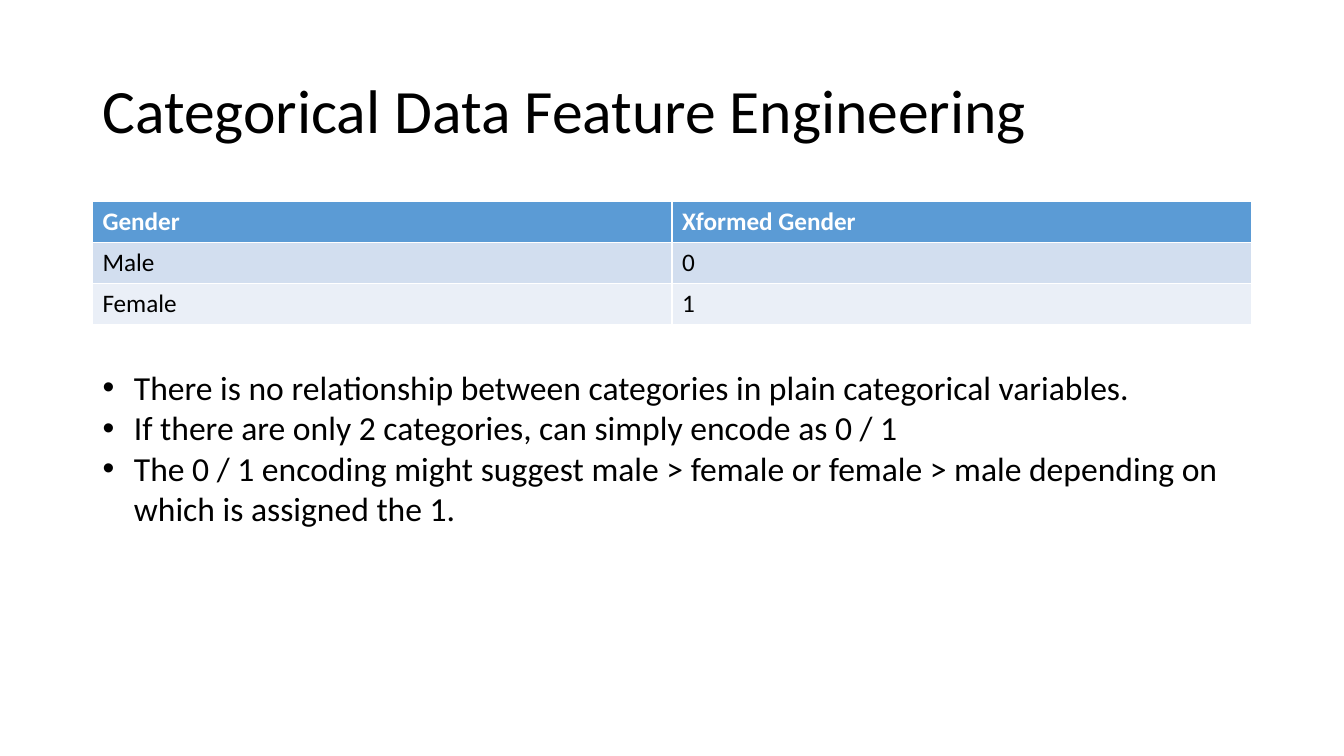
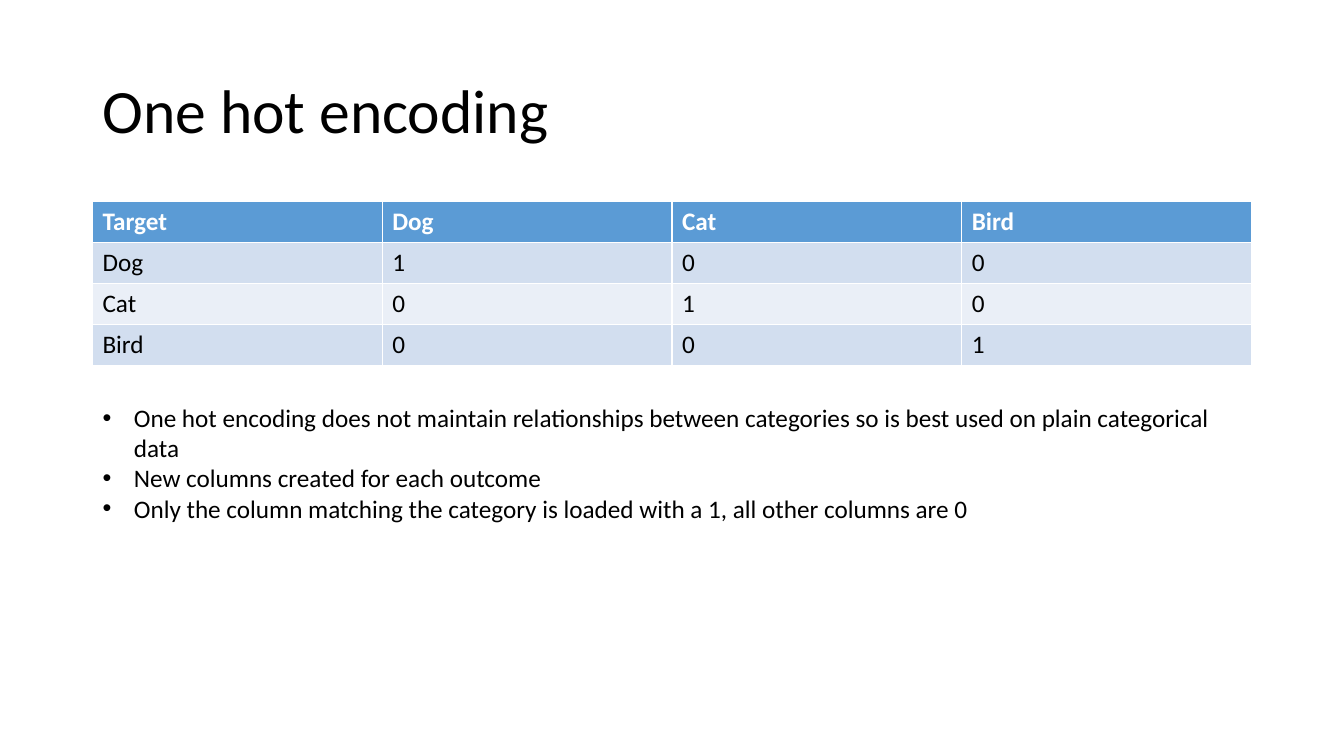
from pptx import Presentation
from pptx import util as u
from pptx.dml.color import RGBColor
from pptx.enum import text

WHITE = RGBColor(0xFF, 0xFF, 0xFF)
BLACK = RGBColor(0x00, 0x00, 0x00)
HEADER = RGBColor(0x5B, 0x9B, 0xD5)
BANDS = [RGBColor(0xEA, 0xEF, 0xF7), RGBColor(0xD2, 0xDE, 0xEF)]
FONT = "Calibri"

LEFT, WIDTH = u.Cm(2.33), u.Cm(29.21)
TITLE_TOP, TITLE_HEIGHT = u.Cm(1.01), u.Cm(3.68)
TABLE_TOP, ROW_HEIGHT = u.Cm(5.08), u.Cm(1.03)
INDENT = u.Cm(0.79)

SLIDES = [
    {
        "title": "Categorical Data Feature Engineering",
        "rows": [("Gender", "Xformed Gender"), ("Male", "0"), ("Female", "1")],
        "bullets": [
            "There is no relationship between categories in plain categorical variables.",
            "If there are only 2 categories, can simply encode as 0 / 1",
            "The 0 / 1 encoding might suggest male > female or female > male "
            "depending on which is assigned the 1.",
        ],
        "size": 24,
        "top": u.Cm(9.12),
        "height": u.Cm(4.37),
    },
    {
        "title": "One hot encoding",
        "rows": [
            ("Target", "Dog", "Cat", "Bird"),
            ("Dog", "1", "0", "0"),
            ("Cat", "0", "1", "0"),
            ("Bird", "0", "0", "1"),
        ],
        "bullets": [
            "One hot encoding does not maintain relationships between categories "
            "so is best used on plain categorical data",
            "New columns created for each outcome",
            "Only the column matching the category is loaded with a 1, "
            "all other columns are 0",
        ],
        "size": 18,
        "top": u.Cm(10.01),
        "height": u.Cm(3.32),
    },
]


def place(sp, top, height):
    sp.left, sp.top, sp.width, sp.height = LEFT, top, WIDTH, height


def set_font(p, size, color=BLACK, bold=False):
    f = p.font
    f.name, f.size, f.bold = FONT, u.Pt(size), bold
    f.color.rgb = color


def add_title(s, title):
    sp = s.shapes.title
    place(sp, TITLE_TOP, TITLE_HEIGHT)
    tf = sp.text_frame
    tf.text = title
    tf.auto_size = text.MSO_AUTO_SIZE.NONE
    tf.vertical_anchor = text.MSO_ANCHOR.MIDDLE
    p = tf.paragraphs[0]
    p.alignment = text.PP_ALIGN.LEFT
    p.line_spacing = 0.9
    set_font(p, 44)


def add_table(s, rows):
    cols = len(rows[0])
    frame = s.shapes.add_table(len(rows), cols, LEFT, TABLE_TOP,
                               WIDTH, ROW_HEIGHT * len(rows))
    for i, row in enumerate(rows):
        for j, value in enumerate(row):
            cell = frame.table.cell(i, j)
            cell.text = value
            cell.fill.solid()
            cell.fill.fore_color.rgb = BANDS[i % 2] if i else HEADER
            set_font(cell.text_frame.paragraphs[0], 18,
                     BLACK if i else WHITE, bold=i == 0)


def add_bullets(s, bullets, size, top, height):
    sp = s.placeholders[1]
    place(sp, top, height)
    tf = sp.text_frame
    tf.text = "\n".join(bullets)
    tf.auto_size = text.MSO_AUTO_SIZE.NONE
    for p in tf.paragraphs:
        p.space_before = u.Pt(0)
        set_font(p, size)
        pPr = p._p.get_or_add_pPr()
        pPr.set("marL", str(INDENT))
        pPr.set("indent", str(-INDENT))


def main():
    prs = Presentation()
    prs.slide_width, prs.slide_height = u.Cm(33.87), u.Cm(19.05)
    for data in SLIDES:
        s = prs.slides.add_slide(prs.slide_layouts[1])
        add_title(s, data["title"])
        add_table(s, data["rows"])
        add_bullets(s, data["bullets"], data["size"], data["top"], data["height"])
    prs.save("out.pptx")


if __name__ == "__main__":
    main()
